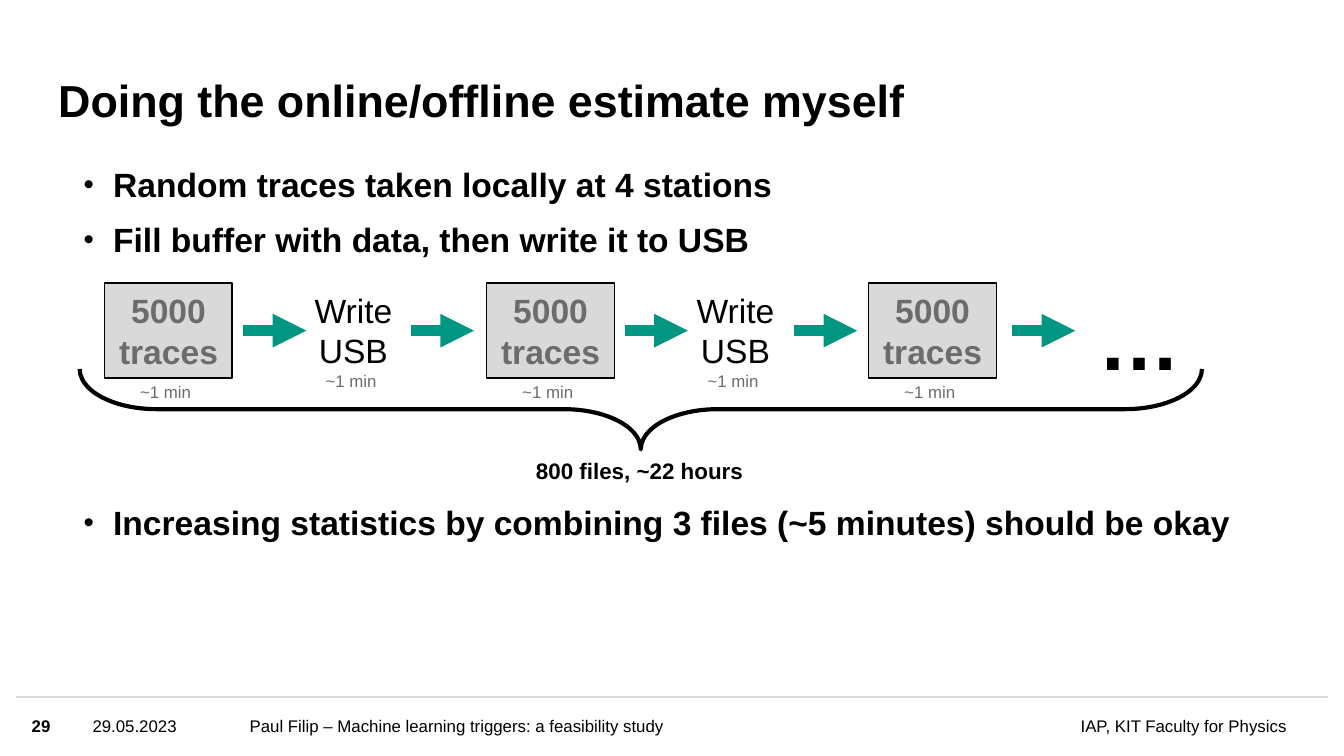
from lxml import etree
from pptx import Presentation, util as u
from pptx.dml.color import RGBColor
from pptx.enum import shapes, text
from pptx.oxml.ns import qn

BLACK, GREY, LIGHT, GREEN = "000000", "6C6C6C", "D9D9D9", "009682"
LEFT, CENTER, RIGHT = text.PP_ALIGN.LEFT, text.PP_ALIGN.CENTER, text.PP_ALIGN.RIGHT
TOP, MIDDLE, BOTTOM = (text.MSO_ANCHOR.TOP, text.MSO_ANCHOR.MIDDLE,
                       text.MSO_ANCHOR.BOTTOM)
STEP_PITCH = 7.22


def rgb(color):
    """Turn a hex string into a colour."""
    return RGBColor.from_string(color)


def lengths(*values):
    """Turn centimetres into lengths."""
    return [u.Cm(value) for value in values]


def format_paragraph(paragraph, size, color=BLACK, bold=False, align=LEFT):
    """Set the alignment of a paragraph and the font of its runs."""
    paragraph.alignment = align
    for run in paragraph.runs:
        run.font.name = "Arial"
        run.font.size = u.Pt(size)
        run.font.bold = bold
        run.font.color.rgb = rgb(color)


def add_text(slide, box, content, size, color=BLACK, bold=False, align=LEFT,
             anchor=TOP, inset=True, wrap=True):
    """Add a text box whose paragraphs share one format."""
    frame = slide.shapes.add_textbox(*lengths(*box)).text_frame
    frame.text = content
    frame.word_wrap = wrap
    frame.vertical_anchor = anchor
    if not inset:
        frame.margin_left = frame.margin_right = 0
        frame.margin_top = frame.margin_bottom = 0
    for paragraph in frame.paragraphs:
        format_paragraph(paragraph, size, color, bold, align)
    return frame


def add_line(slide, start, end, color, width, arrow=False):
    """Add a straight line, with an arrowhead if asked."""
    line = slide.shapes.add_connector(shapes.MSO_CONNECTOR.STRAIGHT,
                                      *lengths(*start, *end))
    line.line.color.rgb = rgb(color)
    line.line.width = u.Pt(width)
    if arrow:
        etree.SubElement(line.line._get_or_add_ln(), qn("a:tailEnd"), type="triangle")
    etree.SubElement(line._element.spPr, qn("a:effectLst"))


def add_bullets(slide, box, items):
    """Add bulleted lines, each with its space before in points."""
    frame = add_text(slide, box, "\n".join(item for item, gap in items), 18,
                     bold=True, inset=False)
    for paragraph, (item, gap) in zip(frame.paragraphs, items):
        paragraph.line_spacing = 0.9
        paragraph.space_before = u.Pt(gap)
        properties = paragraph._p.get_or_add_pPr()
        properties.set("marL", str(u.Cm(1.3)))
        properties.set("indent", str(u.Cm(-0.56)))
        etree.SubElement(properties, qn("a:buSzPct"), val="88000")
        etree.SubElement(properties, qn("a:buFont"), typeface="Arial")
        etree.SubElement(properties, qn("a:buChar"), char="•")


def add_trace_step(slide, left):
    """Add a box of traces with its duration below."""
    box = slide.shapes.add_shape(shapes.MSO_SHAPE.RECTANGLE,
                                 *lengths(left, 5.35, 2.41, 1.8))
    box.shadow.inherit = False
    box.fill.solid()
    box.fill.fore_color.rgb = rgb(LIGHT)
    box.line.color.rgb = rgb(BLACK)
    box.line.width = u.Pt(0.75)
    frame = box.text_frame
    frame.text = "5000\ntraces"
    frame.word_wrap = False
    for paragraph in frame.paragraphs:
        format_paragraph(paragraph, 18, GREY, True, CENTER)
    add_text(slide, (left + 0.41, 7.09, 1.57, 0.64), "~1 min ", 9, GREY, align=CENTER)


def add_write_step(slide, left):
    """Add a write step with its duration as the last line."""
    frame = add_text(slide, (left, 5.35, 1.98, 2.26), "Write USB\n~1 min ", 18,
                     align=CENTER)
    format_paragraph(frame.paragraphs[1], 9, GREY, align=CENTER)


def add_brace(slide, box):
    """Add a brace that opens upwards."""
    brace = slide.shapes.add_shape(shapes.MSO_SHAPE.RIGHT_BRACE, *lengths(*box))
    brace.rotation = 90
    brace.adjustments[0] = 0.955
    brace.adjustments[1] = 0.5
    brace.shadow.inherit = False
    brace.fill.background()
    brace.line.color.rgb = rgb(BLACK)
    brace.line.width = u.Pt(2.25)


def add_footer(slide):
    """Add the rule and the four footer texts."""
    add_line(slide, (0.3, 13.18), (25.1, 13.18), LIGHT, 1)
    for left, width, content, bold, align in (
            (0.6, 0.91, "29", True, LEFT),
            (1.75, 2.84, "29.05.2023", False, LEFT),
            (4.72, 10.24, "Paul Filip – Machine learning triggers: a feasibility study",
             False, LEFT),
            (15.3, 9.01, "IAP, KIT Faculty for Physics", False, RIGHT)):
        add_text(slide, (left, 13.18, width, 1.09), content, 9, bold=bold,
                 align=align, anchor=MIDDLE, inset=False)


def main():
    """Build the slide and save it."""
    presentation = Presentation()
    presentation.slide_width, presentation.slide_height = lengths(25.4, 14.29)
    slide = presentation.slides.add_slide(presentation.slide_layouts[6])
    add_footer(slide)
    title = add_text(slide, (1.1, 0.81, 19.08, 1.6), "Doing the online/offline estimate myself",
                     24, bold=True, anchor=BOTTOM, inset=False)
    title.paragraphs[0].line_spacing = 0.9
    add_bullets(slide, (0.84, 3.18, 23.39, 9.47), (
        ("Random traces taken locally at 4 stations", 0),
        ("Fill buffer with data, then write it to USB", 10.3),
        ("Increasing statistics by combining 3 files (~5 minutes) should be okay", 132)))
    for step in range(3):
        add_trace_step(slide, 1.98 + step * STEP_PITCH)
    for step in range(2):
        add_write_step(slide, 5.69 + step * STEP_PITCH)
    for left in (4.6, 7.77, 11.81, 15.01, 19.13):
        add_line(slide, (left, 6.25), (left + 1.19, 6.25), GREEN, 6, arrow=True)
    add_text(slide, (20.52, 5.33, 1.98, 2.13), "…", 44, bold=True)
    add_brace(slide, (11.35, -2.87, 1.52, 21.21))
    add_text(slide, (9.88, 8.51, 4.47, 0.76), "800 files, ~22 hours", 12, bold=True,
             wrap=False)
    presentation.save("out.pptx")


if __name__ == "__main__":
    main()
